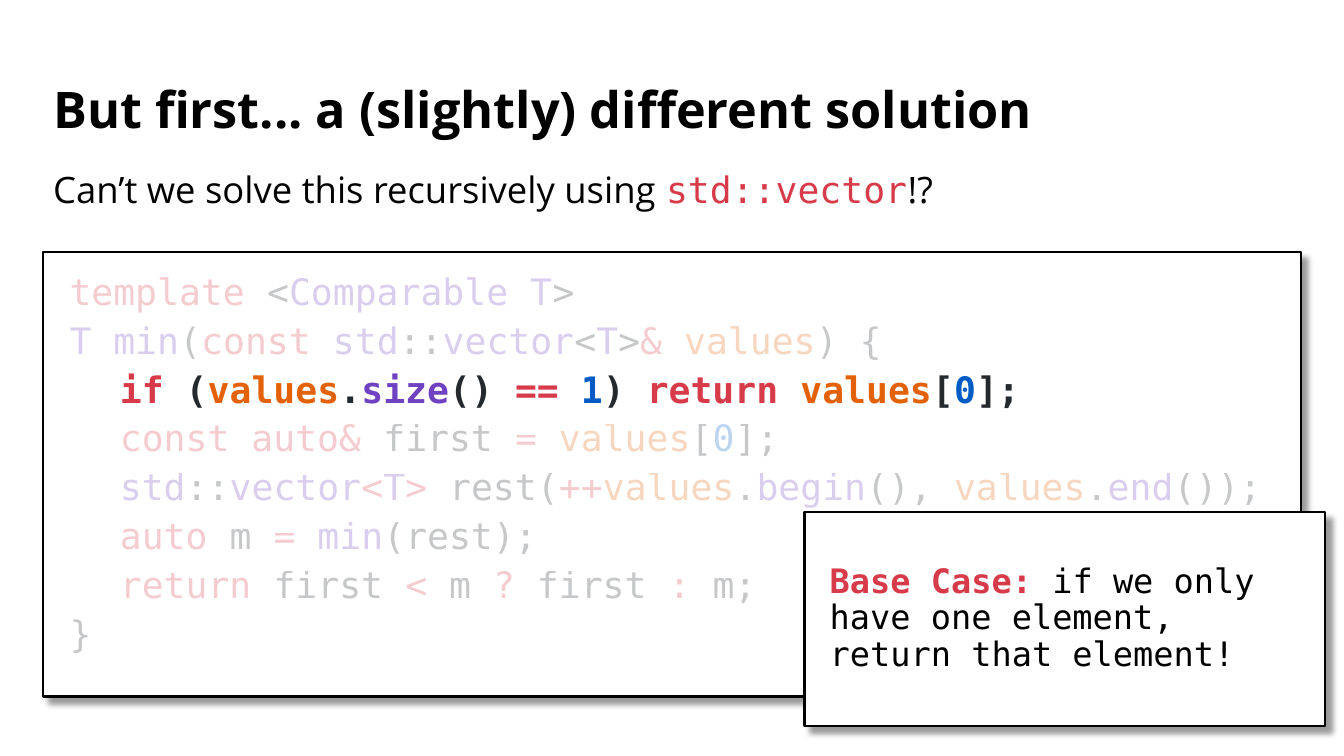
from pptx import Presentation, util as u
from pptx.dml.color import RGBColor
from pptx.enum import shapes, text
from pptx.oxml.ns import qn
from lxml import etree

INK = {"black": "000000", "white": "FFFFFF", "red": "D73A49", "gray": "24292E",
       "violet": "6F42C1", "orange": "E36209", "blue": "005CC5", "rose": "D73A48"}
SANS, MONO = "Open Sans", "DejaVu Sans Mono"

TITLE = [("black", "But first... a (slightly) different solution")]
ASK = [("black", "Can’t we solve this recursively using "),
       ("rose", "std::vector"), ("black", "!?")]
NOTE = [("rose", "Base Case: "),
        ("black", "if we only have one element, return that element!")]

# Each line of code: indent level, then coloured runs
CODE = [
    (0, [("red", "template"), ("gray", " <"), ("violet", "Comparable T"), ("gray", ">")]),
    (0, [("violet", "T min"), ("gray", "("), ("red", "const "), ("violet", "std"),
         ("gray", "::"), ("violet", "vector"), ("gray", "<"), ("violet", "T"),
         ("gray", ">"), ("red", "& "), ("orange", "values"), ("gray", ") {")]),
    (1, [("red", "if"), ("gray", " ("), ("orange", "values"), ("gray", "."),
         ("violet", "size"), ("gray", "() "), ("red", "== "), ("blue", "1"),
         ("gray", ") "), ("red", "return "), ("orange", "values"), ("gray", "["),
         ("blue", "0"), ("gray", "];")]),
    (1, [("red", "const auto&"), ("gray", " first "), ("red", "= "),
         ("orange", "values"), ("gray", "["), ("blue", "0"), ("gray", "];")]),
    (1, [("violet", "std"), ("gray", "::"), ("violet", "vector"), ("red", "<"),
         ("violet", "T"), ("red", ">"), ("gray", " rest("), ("red", "++"),
         ("orange", "values"), ("gray", "."), ("violet", "begin"), ("gray", "(), "),
         ("orange", "values"), ("gray", "."), ("violet", "end"), ("gray", "());")]),
    (1, [("red", "auto"), ("gray", " m "), ("red", "= "), ("violet", "min"),
         ("gray", "(rest);")]),
    (1, [("red", "return"), ("gray", " first "), ("red", "<"), ("gray", " m "),
         ("red", "?"), ("gray", " first "), ("red", ":"), ("gray", " m;")]),
    (0, [("gray", "}")]),
]
ACTIVE = 2  # the line in full colour
FADE = 25   # opacity of the other lines, percent
TAB = 0.5

LEFT, WIDE = 0.43, 12.47

prs = Presentation()
prs.slide_width, prs.slide_height = u.Inches(13.33), u.Inches(7.5)
slide = prs.slides.add_slide(prs.slide_layouts[6])


def set_up(shape, anchor):
    frame = shape.text_frame
    frame.word_wrap = True
    frame.vertical_anchor = anchor
    return frame


def add_label(box, anchor):
    return set_up(slide.shapes.add_textbox(*map(u.Inches, box)), anchor)


def add_card(box, anchor):
    """Add a white outlined box with a soft shadow; return its text frame."""
    card = slide.shapes.add_shape(shapes.MSO_SHAPE.RECTANGLE, *map(u.Inches, box))
    card.fill.solid()
    card.fill.fore_color.rgb = RGBColor.from_string(INK["white"])
    card.line.color.rgb = RGBColor.from_string(INK["black"])
    card.line.width = u.Pt(1.5)
    card.shadow.inherit = False
    glow = card.element.spPr.find(qn("a:effectLst"))
    drop = etree.SubElement(glow, qn("a:outerShdw"), blurRad=str(u.Pt(4)),
                            dist=str(u.Pt(6)), dir=str(45 * 60000),
                            algn="tl", rotWithShape="0")
    tint = etree.SubElement(drop, qn("a:srgbClr"), val=INK["black"])
    etree.SubElement(tint, qn("a:alpha"), val="40000")
    frame = set_up(card, anchor)
    frame.margin_left = frame.margin_right = u.Inches(0.25)
    frame.margin_top = frame.margin_bottom = u.Inches(0.25)
    return frame


def write(para, runs, size, font, gap=0.8, bold=False, fade=None):
    para.alignment = text.PP_ALIGN.LEFT
    para.line_spacing = gap
    for ink, words in runs:
        run = para.add_run()
        run.text = words
        face = run.font
        face.size = u.Pt(size)
        face.name = MONO if ink == "rose" else font
        face.bold = bold or words == "Base Case: "
        face.color.rgb = RGBColor.from_string(INK[ink])
        if fade:
            tint = run._r.rPr.find(".//" + qn("a:srgbClr"))
            etree.SubElement(tint, qn("a:alpha"), val=str(fade * 1000))


MID, TOP = text.MSO_ANCHOR.MIDDLE, text.MSO_ANCHOR.TOP

title = add_label((LEFT, 0.69, WIDE, 0.84), MID)
write(title.paragraphs[0], TITLE, 36, SANS, gap=0.9, bold=True)

code = add_card((LEFT, 2.5, WIDE, 4.41), TOP)
for row, (level, runs) in enumerate(CODE):
    para = code.add_paragraph() if row else code.paragraphs[0]
    para.space_before = u.Pt(10 if row else 0)
    para._p.get_or_add_pPr().set("marL", str(u.Inches(0.01 + TAB * level)))
    live = row == ACTIVE
    write(para, runs, 26, MONO, bold=live, fade=None if live else FADE)

ask = add_label((LEFT, 1.69, WIDE, 0.47), TOP)
write(ask.paragraphs[0], ASK, 26, SANS)

note = add_card((7.98, 5.08, 5.16, 2.12), MID)
write(note.paragraphs[0], NOTE, 24, MONO, gap=0.9)

prs.save("out.pptx")
